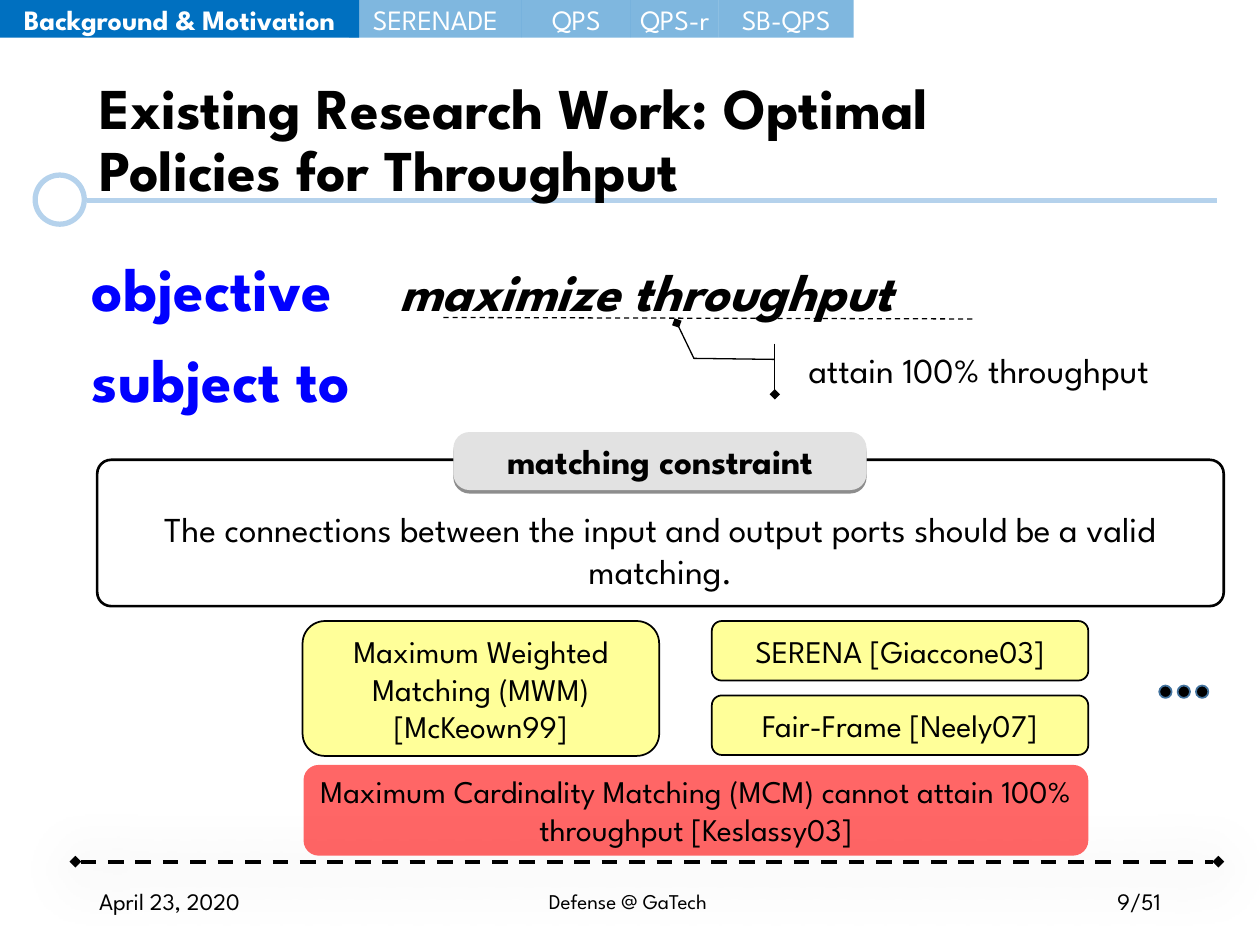
import pptx
import pptx.dml.color
import pptx.enum.dml
import pptx.enum.shapes
import pptx.enum.text
import pptx.oxml.ns
import pptx.util
from lxml import etree

Cm = pptx.util.Cm
Pt = pptx.util.Pt
qn = pptx.oxml.ns.qn
SHAPE = pptx.enum.shapes.MSO_SHAPE
ALIGN = pptx.enum.text.PP_ALIGN
ANCHOR = pptx.enum.text.MSO_ANCHOR


def rgb(hex_color):
    return pptx.dml.color.RGBColor.from_string(hex_color)


def child(parent, tag, **attrs):
    return etree.SubElement(parent, qn(tag), {k: str(v) for k, v in attrs.items()})


class Deck:
    font = "League Spartan"
    black, white, blue = "000000", "FFFFFF", "0070C0"
    pale_blue, yellow, grey = "B5D2EC", "FFFF99", "E2E2E2"

    def __init__(self):
        self.prs = pptx.Presentation()
        self.prs.slide_width, self.prs.slide_height = Cm(25.4), Cm(19.05)
        self.s = self.prs.slides.add_slide(self.prs.slide_layouts[5])

    def style(self, p, size, color=black, bold=False, align=ALIGN.LEFT):
        p.alignment = align
        p.font.name, p.font.size, p.font.bold = self.font, Pt(size), bold
        p.font.color.rgb = rgb(color)

    def label(self, sp, text, size, color=black, bold=False,
              align=ALIGN.CENTER, anchor=ANCHOR.MIDDLE, wrap=True):
        tf = sp.text_frame
        tf.word_wrap, tf.vertical_anchor = wrap, anchor
        p = tf.paragraphs[0]
        p.text = text
        self.style(p, size, color, bold, align)
        return p

    def shadow(self, effects, color, alpha, blur, dist):
        shade = child(effects, "a:outerShdw", blurRad=Pt(blur), dist=Pt(dist),
                      dir=5400000, algn="t", rotWithShape=0)
        child(child(shade, "a:srgbClr", val=color), "a:alpha", val=alpha * 1000)

    def title(self, text, box):
        sp = self.s.shapes.title
        sp.left, sp.top, sp.width, sp.height = map(Cm, box)
        p = self.label(sp, text, 33, bold=True, align=ALIGN.LEFT)
        sp.text_frame.auto_size = pptx.enum.text.MSO_AUTO_SIZE.NONE
        p.line_spacing = 0.9
        r = p.runs[0]
        r.font.color.rgb = rgb(self.black)
        effects = child(r._r.get_or_add_rPr(), "a:effectLst")
        self.shadow(effects, self.black, 43, 4, 3)

    def text(self, text, box, size, **style):
        sp = self.s.shapes.add_textbox(*map(Cm, box))
        self.label(sp, text, size, **style)
        return sp

    def shape(self, kind, box, fill=None, alpha=100, line=None, weight=1, adj=()):
        sp = self.s.shapes.add_shape(kind, *map(Cm, box))
        sp.shadow.inherit = False
        for i, value in enumerate(adj):
            sp.adjustments[i] = value
        if fill:
            sp.fill.solid()
            sp.fill.fore_color.rgb = rgb(fill)
            if alpha < 100:
                color = sp._element.spPr.find(qn("a:solidFill"))[0]
                child(color, "a:alpha", val=alpha * 1000)
        else:
            sp.fill.background()
        if line:
            sp.line.color.rgb = rgb(line)
            sp.line.width = Pt(weight)
        else:
            sp.line.fill.background()
        return sp

    def line(self, x1, y1, x2, y2, color, weight, dashed=False, ends=False):
        cn = self.s.shapes.add_connector(
            pptx.enum.shapes.MSO_CONNECTOR.STRAIGHT, *map(Cm, (x1, y1, x2, y2)))
        cn.line.color.rgb = rgb(color)
        cn.line.width = Pt(weight)
        if dashed:
            cn.line.dash_style = pptx.enum.dml.MSO_LINE.DASH
        spPr = cn._element.spPr
        effects = child(spPr, "a:effectLst")
        if ends:
            for tag in ("a:headEnd", "a:tailEnd"):
                child(spPr.find(qn("a:ln")), tag, type="diamond")
            self.shadow(effects, color, 43, 36, 4)
        return cn

    def tab(self, name, left, width, alpha=50, bold=False):
        sp = self.shape(SHAPE.RECTANGLE, (left, 0, width, 0.76), self.blue, alpha)
        sp.text_frame.margin_left = sp.text_frame.margin_right = 0
        self.label(sp, name, 16, self.white, bold)

    def card(self, text, box, fill=yellow, alpha=100, line=black):
        sp = self.shape(SHAPE.ROUNDED_RECTANGLE, box, fill, alpha, line)
        self.label(sp, text, 18)

    def group(self, *shapes):
        self.s.shapes.add_group_shape(shapes=list(shapes))


def main():
    d = Deck()
    rounded = SHAPE.ROUNDED_RECTANGLE

    d.group(d.line(1.75, 4.04, 24.54, 4.04, d.pale_blue, 3),
            d.shape(SHAPE.OVAL, (0.71, 3.53, 0.99, 0.99), d.white,
                    line=d.pale_blue, weight=3))
    d.line(1.52, 17.37, 24.56, 17.37, d.black, 2.25, dashed=True, ends=True)
    title = d.s.shapes.title._element
    title.getparent().append(title)
    d.title("Existing Research Work: Optimal Policies for Throughput",
            (1.75, 1.02, 19.96, 3.68))

    d.text("Defense @ GaTech", (6.12, 17.65, 13.08, 1.02), 12)
    d.text("April 23, 2020", (1.75, 17.65, 5.72, 1.02), 13.5, align=ALIGN.LEFT)
    d.text("9/51", (17.93, 17.65, 5.72, 1.02), 13.5, align=ALIGN.RIGHT)

    d.tab("Background & Motivation", 0, 7.24, alpha=100, bold=True)
    left = 7.04
    for name, width in (("SERENADE", 3.48), ("QPS", 2.2),
                        ("QPS-r", 1.77), ("SB-QPS", 2.72)):
        d.tab(name, left, width)
        left += width

    heading = dict(color="0000FF", bold=True, align=ALIGN.LEFT, anchor=ANCHOR.TOP)
    sp = d.text("objective\t", (1.6, 4.93, 23.04, 1.75), 35, **heading)
    p = sp.text_frame.paragraphs[0]
    tabs = etree.Element(qn("a:tabLst"))
    child(tabs, "a:tab", pos=Cm(6.2), algn="l")
    p._p.get_or_add_pPr().insert(0, tabs)
    r = p.add_run()
    r.text = "maximize throughput"
    r.font.size, r.font.italic = Pt(30), True
    r.font.color.rgb = rgb(d.black)
    d.text("subject to", (1.6, 6.76, 6.45, 1.75), 35, wrap=False, **heading)

    frame = d.shape(rounded, (1.96, 9.27, 22.71, 2.95), line=d.black,
                    weight=1.5, adj=[0.095])
    plate = d.shape(rounded, (9.14, 8.71, 8.33, 1.17), d.grey, adj=[0.279])
    d.shadow(plate._element.spPr.find(qn("a:effectLst")), "1C1C1C", 50, 0, 2)
    d.group(frame, plate,
            d.shape(rounded, (9.19, 8.74, 8.2, 0.53), d.grey, adj=[0.5]),
            d.text("matching constraint", (9.58, 8.74, 7.47, 1.12), 20,
                   bold=True, anchor=ANCHOR.TOP),
            d.text("The connections between the input and output ports "
                   "should be a valid matching.",
                   (1.96, 10.11, 22.71, 2.82), 20, anchor=ANCHOR.TOP))

    d.card("Maximum Weighted Matching (MWM) [McKeown99]", (6.1, 12.52, 7.19, 2.72))
    for i, text in enumerate(("SERENA [Giaccone03]", "Fair-Frame [Neely07]")):
        d.card(text, (14.35, 12.52 + 1.5 * i, 7.59, 1.2))
    d.group(*[d.shape(SHAPE.OVAL, (23.37 + 0.37 * i, 13.82, 0.25, 0.25),
                      d.black, line="43739E") for i in range(3)])
    d.card("Maximum Cardinality Matching (MCM) cannot attain 100% "
           "throughput [Keslassy03]", (6.12, 15.42, 15.82, 1.83),
           "FF0000", alpha=60, line=None)

    callout = d.shape(SHAPE.LINE_CALLOUT_2_ACCENT_BAR, (16.05, 6.93, 8.59, 1.02),
                      line=d.black, weight=0.75,
                      adj=[0.31, -0.05, 0.29, -0.24, -0.41, -0.28])
    child(callout._element.spPr.find(qn("a:ln")), "a:tailEnd", type="diamond")
    d.label(callout, "attain 100% throughput", 20, align=ALIGN.LEFT)
    d.line(8.94, 6.4, 19.63, 6.43, d.black, 0.75, dashed=True)

    d.prs.save("out.pptx")


if __name__ == "__main__":
    main()
